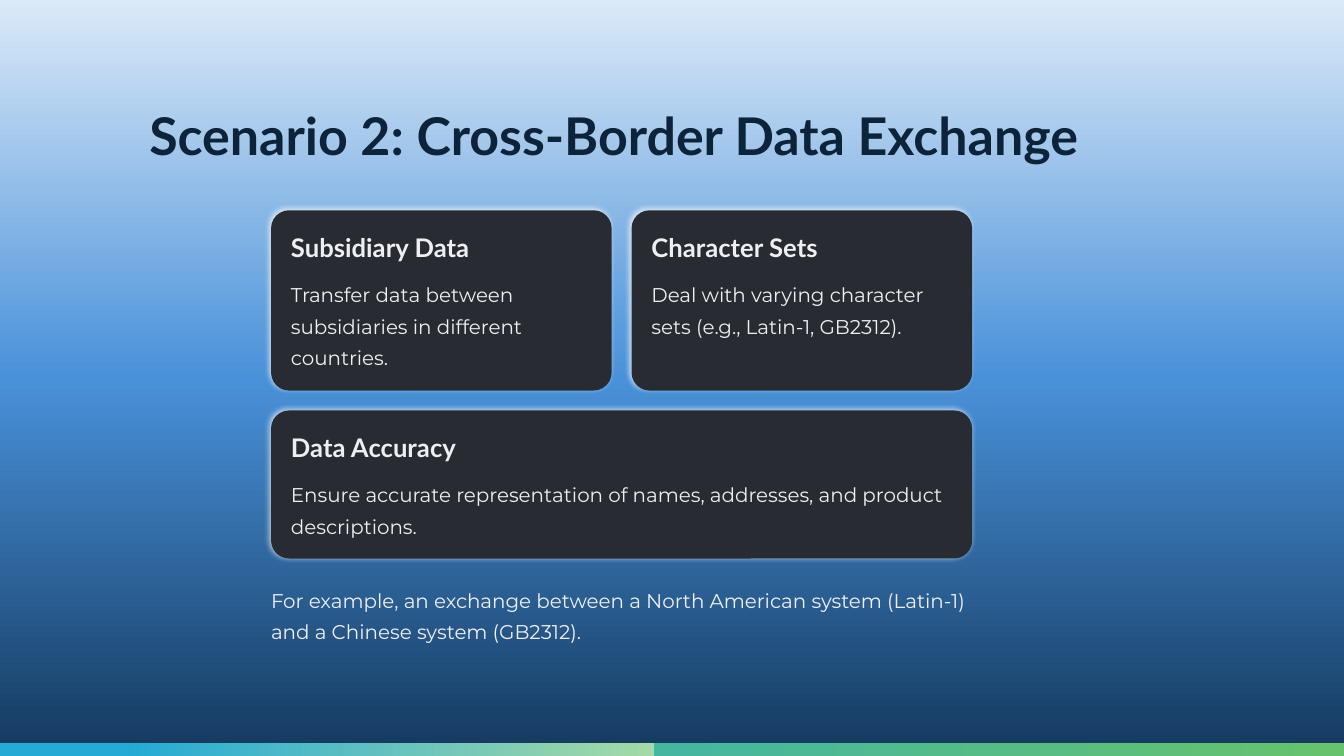
from dataclasses import dataclass

from lxml.etree import SubElement
from pptx import Presentation
from pptx.dml.color import RGBColor
from pptx.enum.shapes import MSO_SHAPE
from pptx.enum.text import MSO_ANCHOR, MSO_AUTO_SIZE, PP_ALIGN
from pptx.oxml.ns import qn
from pptx.util import Pt

NAVY = RGBColor(0x0C, 0x23, 0x3A)
OFF_WHITE = RGBColor(0xEE, 0xEF, 0xF5)
CHARCOAL = RGBColor(0x28, 0x2C, 0x32)
WHITE = RGBColor(0xFF, 0xFF, 0xFF)
SKY = RGBColor(0xDB, 0xE9, 0xF7)
BLUE = RGBColor(0x49, 0x91, 0xD9)
DEEP_BLUE = RGBColor(0x14, 0x39, 0x5E)
CYAN = RGBColor(0x25, 0xAA, 0xD5)
GREEN = RGBColor(0x66, 0xC2, 0x6C)
PALE_GREEN = RGBColor(0xA3, 0xDA, 0xA7)

SLIDE_WIDTH, SLIDE_HEIGHT = 960, 540
STRIP_HEIGHT = 9.4

# Card grid: two columns, the second row spans both
GRID_LEFT, GRID_TOP = 193.6, 150.2
COLUMN_WIDTH, GAP = 243.3, 14.2
GRID_WIDTH = 2 * COLUMN_WIDTH + GAP
TOP_ROW_HEIGHT, BOTTOM_ROW_HEIGHT = 128.8, 105.8
PADDING = 14.2
CORNER_RADIUS = 12.9


@dataclass(frozen=True)
class TextStyle:
    font: str
    size: float
    line_height: float
    color: RGBColor
    bold: bool = False


@dataclass(frozen=True)
class Card:
    heading: str
    body: str
    column: int
    row: int
    width: float
    height: float


@dataclass(frozen=True)
class Strip:
    width: float
    stops: tuple


TITLE = TextStyle("Lato", 37.1, 46.7, NAVY, True)
HEADING = TextStyle("Lato", 18.3, 23.3, OFF_WHITE, True)
BODY = TextStyle("Montserrat", 14.2, 22.5, OFF_WHITE)

CARDS = (
    Card("Subsidiary Data",
         "Transfer data between subsidiaries in different countries.",
         0, 0, COLUMN_WIDTH, TOP_ROW_HEIGHT),
    Card("Character Sets",
         "Deal with varying character sets (e.g., Latin-1, GB2312).",
         1, 0, COLUMN_WIDTH, TOP_ROW_HEIGHT),
    Card("Data Accuracy",
         "Ensure accurate representation of names, addresses, and product descriptions.",
         0, 1, GRID_WIDTH, BOTTOM_ROW_HEIGHT),
)
STRIPS = (
    Strip(SLIDE_WIDTH, ((0, CYAN), (100, GREEN))),
    Strip(467, ((19, CYAN), (100, PALE_GREEN))),
)


def set_gradient(fill, owner, stops: tuple, angle: float) -> None:
    """Fill with (percent, color) stops; owner is the element holding the fill."""
    fill.gradient()
    fill.gradient_angle = angle
    stop_list = next(owner.iter(qn("a:gsLst")))
    for old_stop in list(stop_list):
        stop_list.remove(old_stop)
    for percent, color in stops:
        stop = SubElement(stop_list, qn("a:gs"), pos=str(percent * 1000))
        SubElement(stop, qn("a:srgbClr"), val=str(color))


def add_glow_shadow(shape) -> None:
    shape.shadow.inherit = False
    effects = shape.element.spPr.find(qn("a:effectLst"))
    shadow = SubElement(effects, qn("a:outerShdw"), blurRad=str(Pt(4.2)),
                        dist=str(Pt(2.1)), dir=str(225 * 60000),
                        algn="ctr", rotWithShape="0")
    color = SubElement(shadow, qn("a:srgbClr"), val=str(WHITE))
    SubElement(color, qn("a:alpha"), val="70000")


def write_text(box, text: str, style: TextStyle, wrap: bool = True) -> None:
    frame = box.text_frame
    frame.text = text
    frame.word_wrap = wrap
    frame.auto_size = MSO_AUTO_SIZE.NONE
    frame.vertical_anchor = MSO_ANCHOR.TOP
    frame.margin_left = frame.margin_right = frame.margin_top = frame.margin_bottom = 0
    para = frame.paragraphs[0]
    para.alignment = PP_ALIGN.LEFT
    para.line_spacing = Pt(style.line_height)
    para.space_before = Pt(0)
    font = para.runs[0].font
    font.name, font.size, font.bold = style.font, Pt(style.size), style.bold
    font.color.rgb = style.color


def add_text(slide, left: float, top: float, width: float, height: float,
             text: str, style: TextStyle, wrap: bool = True) -> None:
    box = slide.shapes.add_textbox(Pt(left), Pt(top), Pt(width), Pt(height))
    write_text(box, text, style, wrap)


def add_strip(slide, strip: Strip) -> None:
    bar = slide.shapes.add_shape(MSO_SHAPE.RECTANGLE, 0, Pt(SLIDE_HEIGHT - STRIP_HEIGHT),
                                 Pt(strip.width), Pt(STRIP_HEIGHT))
    bar.shadow.inherit = False
    bar.line.fill.background()
    set_gradient(bar.fill, bar.element.spPr, strip.stops, 0)


def add_card(slide, card: Card) -> None:
    left = GRID_LEFT + card.column * (COLUMN_WIDTH + GAP)
    top = GRID_TOP + card.row * (TOP_ROW_HEIGHT + GAP)
    panel = slide.shapes.add_shape(MSO_SHAPE.ROUNDED_RECTANGLE, Pt(left), Pt(top),
                                   Pt(card.width), Pt(card.height))
    panel.adjustments[0] = CORNER_RADIUS / card.height
    panel.fill.solid()
    panel.fill.fore_color.rgb = CHARCOAL
    panel.line.fill.background()
    add_glow_shadow(panel)
    text_left, text_width = left + PADDING, card.width - 2 * PADDING
    add_text(slide, text_left, top + PADDING, 187, 23.3, card.heading, HEADING, wrap=False)
    add_text(slide, text_left, top + 46.2, text_width, card.height - 46.2 - PADDING,
             card.body, BODY)


def main() -> None:
    deck = Presentation()
    deck.slide_width, deck.slide_height = Pt(SLIDE_WIDTH), Pt(SLIDE_HEIGHT)
    slide = deck.slides.add_slide(deck.slide_layouts[5])

    # Background and bottom strips
    set_gradient(slide.background.fill, slide.element,
                 ((0, SKY), (50, BLUE), (100, DEEP_BLUE)), 270)
    for strip in STRIPS:
        add_strip(slide, strip)

    # Title
    title = slide.shapes.title
    title.left, title.top, title.width, title.height = Pt(106.6), Pt(72), Pt(717), Pt(54.7)
    write_text(title, "Scenario 2: Cross-Border Data Exchange", TITLE)

    # Cards
    for card in CARDS:
        add_card(slide, card)

    # Closing example
    add_text(slide, GRID_LEFT, 414.7, GRID_WIDTH, 45,
             "For example, an exchange between a North American system (Latin-1) "
             "and a Chinese system (GB2312).", BODY)

    deck.save("out.pptx")


if __name__ == "__main__":
    main()
